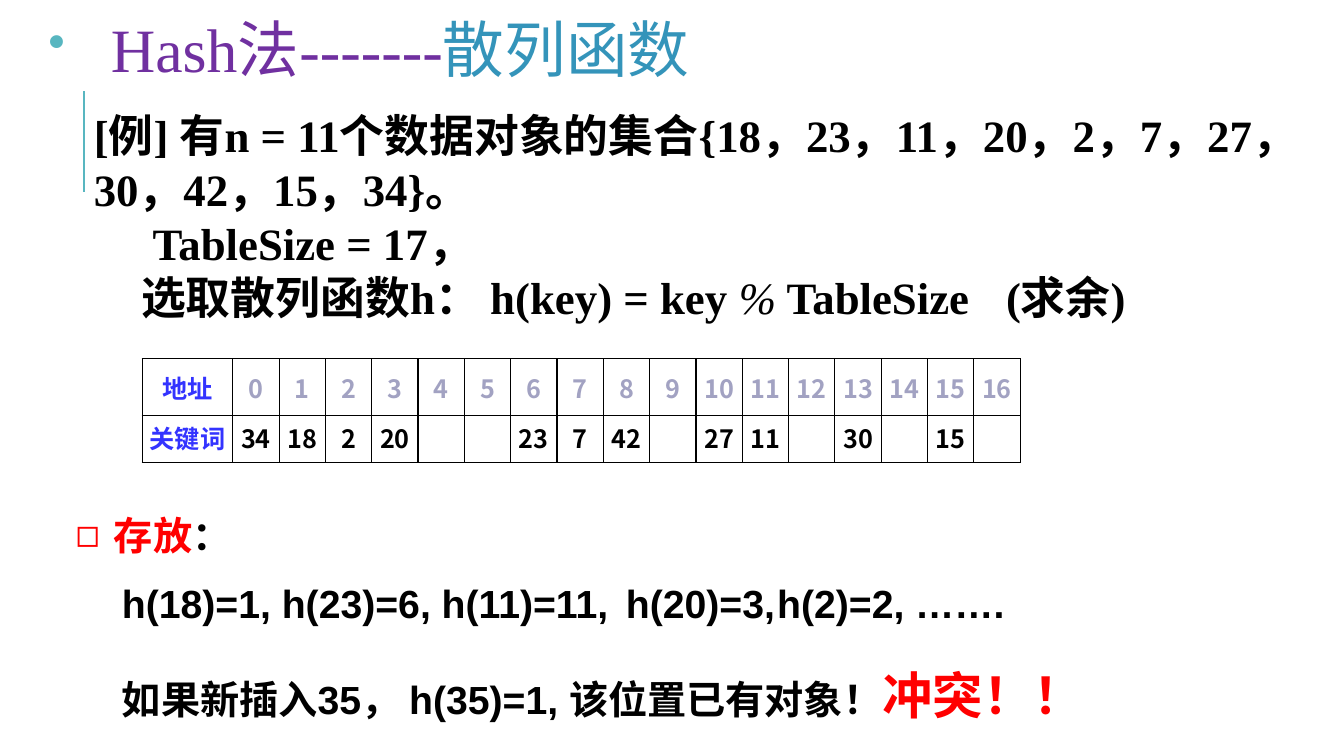
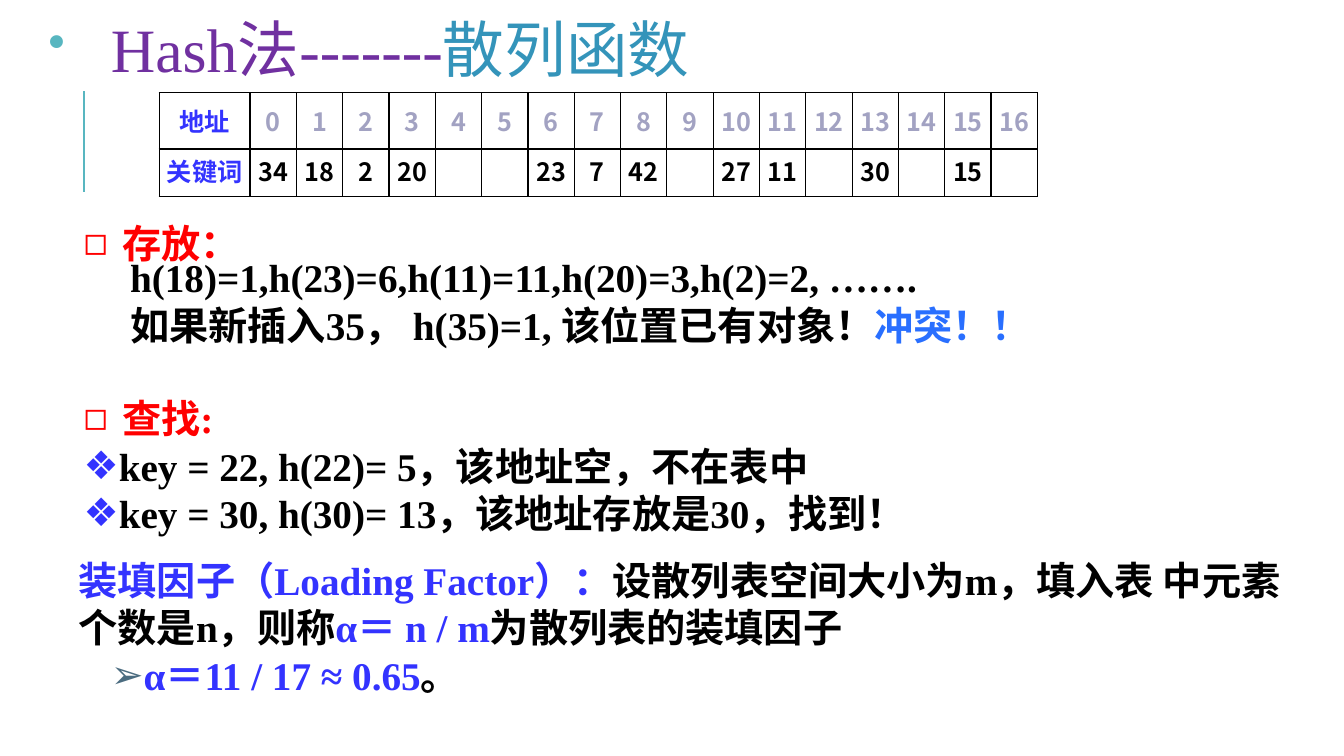
"""Build two slides on hash functions, collisions and the loading factor."""
from dataclasses import dataclass

from lxml.etree import SubElement
from pptx import Presentation
from pptx.dml.color import RGBColor
from pptx.enum.shapes import MSO_CONNECTOR
from pptx.enum.text import MSO_ANCHOR, MSO_AUTO_SIZE, PP_ALIGN
from pptx.oxml.ns import qn
from pptx.util import Pt


@dataclass(frozen=True)
class Theme:
    """Colours, fonts and type sizes shared by the slides."""
    ink: str = "000000"
    red: str = "FF0000"
    blue: str = "3333FF"
    sky: str = "296FFF"
    pale: str = "A2A2C2"
    purple: str = "7030A0"
    ocean: str = "3494BA"
    teal: str = "58B6C0"
    slate: str = "4B6C80"
    serif: str = "Times New Roman"
    sans: str = "Arial"
    chinese: str = "Noto Sans CJK SC"
    title: int = 44
    statement: int = 32
    alert: int = 36
    body: int = 28
    cell: int = 18


T = Theme()
TIGHT, LOOSE = 23.9, 34

TITLE = [([("Hash法-------", dict(color=T.purple)),
           ("散列函数", dict(color=T.ocean))],
          dict(left=44.6, first=-44.6, line=57, bullet="•",
               bullet_color=T.teal, bullet_size=80))]

KEYS = {0: 34, 1: 18, 2: 2, 3: 20, 6: 23, 7: 7, 8: 42,
        10: 27, 11: 11, 13: 30, 15: 15}
TABLE_SIZE = 17
HASH_ROWS = [
    dict(label="地址", values=list(range(TABLE_SIZE)),
         color=T.pale, height=40.3, top=7.1),
    dict(label="关键词", values=[KEYS.get(n, "") for n in range(TABLE_SIZE)],
         color=T.ink, height=33.8, top=2.6),
]

EXAMPLE = [
    ([("[例] 有n = 11个数据对象的集合"
       "{18，23，11，20，2，7，27，30，42，15，34}。", {})],
     dict(line=38.6)),
    ([("TableSize = 17，", {})], dict(left=42, line=38.6)),
    ([("选取散列函数h： h(key) = key ", {}),
      ("%", dict(bold=False, italic=True)),
      (" TableSize\t(求余)", {})],
     dict(left=39.6, first=-5.8, line=38.6, tabs=[612])),
]

SECTION = dict(left=31, first=-27.4, bullet="◻", bullet_color=T.red)
SEARCH = dict(left=27.4, first=-23.8, line=LOOSE, bullet="❖",
              bullet_color=T.blue)
RED, BLUE = dict(color=T.red), dict(color=T.blue)
COLLISION = "如果新插入35， h(35)=1, 该位置已有对象！"

STORING = [
    ([("存放", RED), ("：", {})], dict(SECTION, line=TIGHT)),
    ([("h(18)=1, h(23)=6, h(11)=11,\th(20)=3,\th(2)=2, …….", {})],
     dict(left=36.7, line=TIGHT, before=25, tabs=[404.6, 540])),
    ([(COLLISION, {}), ("冲突！！", dict(color=T.red, size=T.alert))],
     dict(left=36.7, line=46, before=24)),
]

SEARCHING = [
    ([("存放：", RED)], dict(SECTION, line=TIGHT)),
    ([("h(18)=1,h(23)=6,h(11)=11,h(20)=3,h(2)=2, …….", {})],
     dict(left=36.7, line=TIGHT)),
    ([(COLLISION, {}), ("冲突！！", dict(color=T.sky))],
     dict(left=36.7, line=LOOSE)),
    ([("查找:", RED)], dict(SECTION, line=LOOSE, before=33)),
    ([("key = 22, h(22)= 5，该地址空，不在表中", {})], SEARCH),
    ([("key = 30, h(30)= 13，该地址存放是30，找到！", {})], SEARCH),
    ([("装填因子（Loading Factor）：", BLUE),
      ("设散列表空间大小为m，填入表 中元素个数是n，则称", {}),
      ("α＝ n / m", BLUE), ("为散列表的装填因子", {})],
     dict(line=LOOSE, before=13.2)),
    ([("α＝11 / 17 ≈ 0.65", BLUE), ("。", {})],
     dict(left=44.6, first=-21.6, line=LOOSE, bullet="➢",
          bullet_color=T.slate)),
]

SLIDES = [
    dict(table=(101.5, 256.3), example=(67, 76, 873, 154), example_text=EXAMPLE,
         body=(50.4, 374, 751, 160), body_text=STORING, latin=T.sans),
    dict(table=(113.8, 66.2),
         body=(56.2, 166, 878, 332), body_text=SEARCHING, latin=T.serif),
]


def add_text(paragraph, text, *, size, latin, color=T.ink, bold=True,
             italic=False):
    """Append a formatted run to a paragraph."""
    run = paragraph.add_run()
    run.text = text
    font = run.font
    font.size, font.bold, font.italic, font.name = Pt(size), bold, italic, latin
    font.color.rgb = RGBColor.from_string(color)
    SubElement(run.font._element if hasattr(run.font, "_element")
               else run._r.get_or_add_rPr(), qn("a:ea"), typeface=T.chinese)


def set_layout(paragraph, left=0, first=0, line=None, before=0, tabs=(),
               bullet=None, bullet_color=T.ink, bullet_size=100):
    """Set indents, spacing, bullet and tab stops of a paragraph."""
    properties = paragraph._p.get_or_add_pPr()
    properties.set("marL", str(Pt(left)))
    properties.set("indent", str(Pt(first)))
    if bullet:
        tint = SubElement(properties, qn("a:buClr"))
        SubElement(tint, qn("a:srgbClr"), val=bullet_color)
        SubElement(properties, qn("a:buSzPct"), val=str(bullet_size * 1000))
        SubElement(properties, qn("a:buChar"), char=bullet)
    else:
        SubElement(properties, qn("a:buNone"))
    if tabs:
        stops = SubElement(properties, qn("a:tabLst"))
        for stop in tabs:
            SubElement(stops, qn("a:tab"), pos=str(Pt(stop)), algn="l")
    paragraph.alignment = PP_ALIGN.LEFT
    paragraph.space_before, paragraph.space_after = Pt(before), Pt(0)
    if line:
        paragraph.line_spacing = Pt(line)


def fill_box(box, place, content, margins=(0, 0.7), **style):
    """Place a text shape and write its paragraphs."""
    box.left, box.top, box.width, box.height = map(Pt, place)
    frame = box.text_frame
    frame.word_wrap = True
    frame.auto_size = MSO_AUTO_SIZE.NONE
    frame.vertical_anchor = MSO_ANCHOR.TOP
    frame.margin_left = frame.margin_right = Pt(margins[0])
    frame.margin_top = frame.margin_bottom = Pt(margins[1])
    for index, (runs, layout) in enumerate(content):
        paragraph = frame.add_paragraph() if index else frame.paragraphs[0]
        set_layout(paragraph, **layout)
        for text, changes in runs:
            add_text(paragraph, text, **{**style, **changes})


def style_cell(cell, text, color, top):
    """Write a hash table cell with plain black borders."""
    cell.margin_left = cell.margin_right = cell.margin_bottom = 0
    cell.margin_top = Pt(top)
    paragraph = cell.text_frame.paragraphs[0]
    paragraph.alignment = PP_ALIGN.CENTER
    if text:
        add_text(paragraph, text, size=T.cell, latin=T.chinese, color=color)
    else:
        paragraph.font.size = Pt(T.cell)
    properties = cell._tc.get_or_add_tcPr()
    for side in ("a:lnL", "a:lnR", "a:lnT", "a:lnB"):
        border = SubElement(properties, qn(side), w=str(Pt(1)))
        paint = SubElement(border, qn("a:solidFill"))
        SubElement(paint, qn("a:srgbClr"), val=T.ink)
    cell.fill.background()


def add_hash_table(slide, left, top):
    """Add the address and key table."""
    widths = [64.8] + [33.1] * TABLE_SIZE
    height = sum(row["height"] for row in HASH_ROWS)
    table = slide.shapes.add_table(
        len(HASH_ROWS), len(widths), Pt(left), Pt(top),
        Pt(sum(widths)), Pt(height)).table
    table.first_row = table.horz_banding = False
    for column, width in zip(table.columns, widths):
        column.width = Pt(width)
    for r, row in enumerate(HASH_ROWS):
        table.rows[r].height = Pt(row["height"])
        style_cell(table.cell(r, 0), row["label"], T.blue, row["top"])
        for c, value in enumerate(row["values"], 1):
            style_cell(table.cell(r, c), str(value), row["color"], row["top"])


def add_accent(slide):
    """Draw the thin upright line at the left edge."""
    accent = slide.shapes.add_connector(
        MSO_CONNECTOR.STRAIGHT, Pt(60), Pt(137), Pt(60), Pt(65))
    accent.line.color.rgb = RGBColor.from_string(T.teal)
    accent.line.width = Pt(1.5)
    SubElement(accent._element.spPr, qn("a:effectLst"))


def build_slide(deck, content):
    """Build one slide from its content."""
    slide = deck.slides.add_slide(deck.slide_layouts[1])
    add_accent(slide)
    fill_box(slide.shapes.title, (27.4, 0, 796, 66), TITLE, margins=(7.2, 3.6),
             size=T.title, latin=T.serif, bold=False)
    if "example" in content:
        example = slide.shapes.add_textbox(0, 0, 0, 0)
        fill_box(example, content["example"], content["example_text"],
                 size=T.statement, latin=T.serif)
    add_hash_table(slide, *content["table"])
    fill_box(slide.placeholders[1], content["body"], content["body_text"],
             size=T.body, latin=content["latin"])


def main():
    """Create and save the deck."""
    deck = Presentation()
    deck.slide_width, deck.slide_height = Pt(960), Pt(540)
    for content in SLIDES:
        build_slide(deck, content)
    deck.save("out.pptx")


if __name__ == "__main__":
    main()
